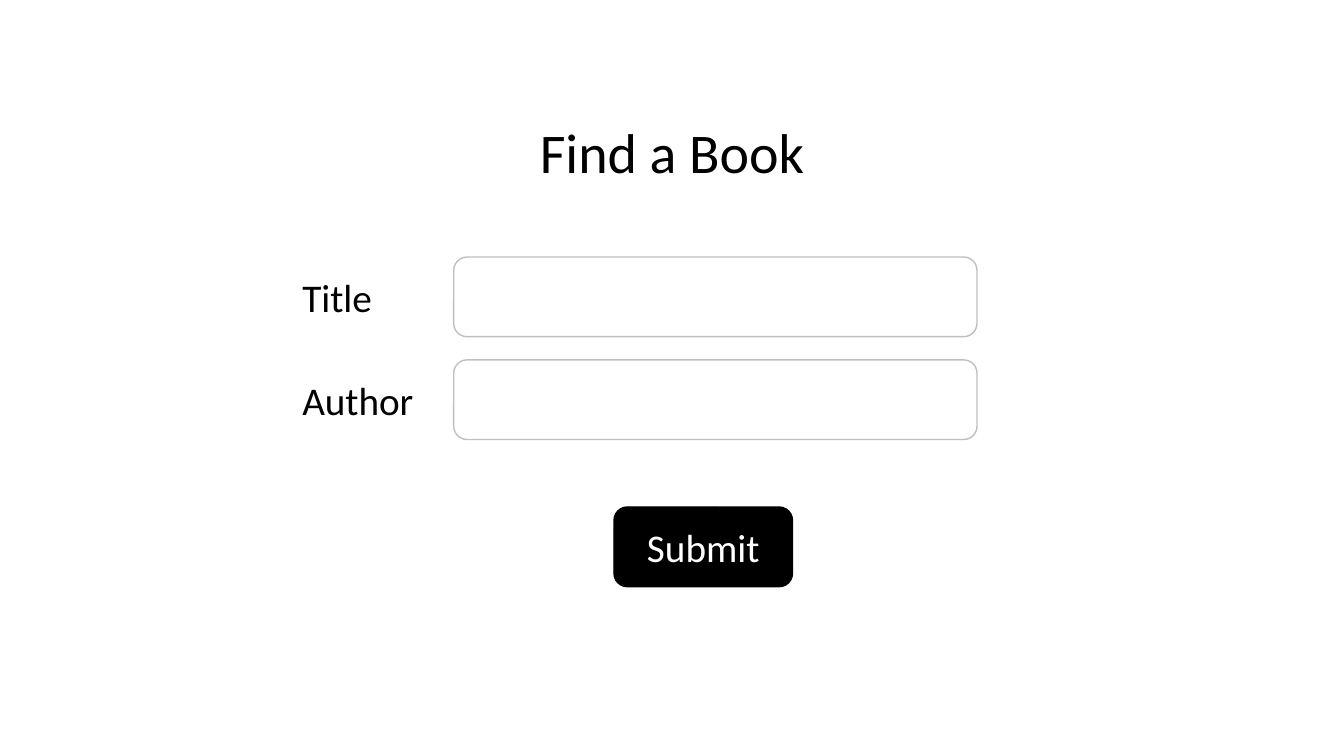
"""Build the Find a Book search form slide."""
from pptx import Presentation
from pptx import util as u
from pptx.dml import color
from pptx.enum import shapes, text

BLACK, WHITE, GREY = "000000", "FFFFFF", "BFBFBF"


def rgb(code):
    return color.RGBColor.from_string(code)


def write(frame, words, size=28, ink=BLACK, align=text.PP_ALIGN.LEFT):
    para = frame.paragraphs[0]
    para.alignment = align
    run = para.add_run()
    run.text = words
    run.font.name = "Calibri"
    run.font.size = u.Pt(size)
    run.font.color.rgb = rgb(ink)


def label(slide, box, words, **style):
    frame = slide.shapes.add_textbox(*map(u.Inches, box)).text_frame
    frame.word_wrap = True
    frame.auto_size = text.MSO_AUTO_SIZE.SHAPE_TO_FIT_TEXT
    write(frame, words, **style)


def panel(slide, box, fill, line):
    shape = slide.shapes.add_shape(
        shapes.MSO_SHAPE.ROUNDED_RECTANGLE, *map(u.Inches, box))
    shape.shadow.inherit = False
    shape.fill.solid()
    shape.fill.fore_color.rgb = rgb(fill)
    shape.line.color.rgb = rgb(line)
    shape.line.width = u.Pt(1)
    return shape


def field(slide, top, name):
    panel(slide, (4.5, top, 5.19, 0.79), WHITE, GREY)
    label(slide, (2.9, top + 0.11, 1.44, 0.57), name)


def button(slide, box, words):
    frame = panel(slide, box, BLACK, BLACK).text_frame
    frame.vertical_anchor = text.MSO_ANCHOR.MIDDLE
    write(frame, words, ink=WHITE, align=text.PP_ALIGN.CENTER)


def main():
    deck = Presentation()
    deck.slide_width = u.Inches(13.33)
    deck.slide_height = u.Inches(7.5)
    slide = deck.slides.add_slide(deck.slide_layouts[6])
    label(slide, (4.1, 1.12, 5.13, 0.77), "Find a Book", size=40,
          align=text.PP_ALIGN.CENTER)
    for row, name in enumerate(("Title", "Author")):
        field(slide, 2.55 + row * 1.02, name)
    button(slide, (6.09, 5.03, 1.77, 0.79), "Submit")
    deck.save("out.pptx")


if __name__ == "__main__":
    main()
